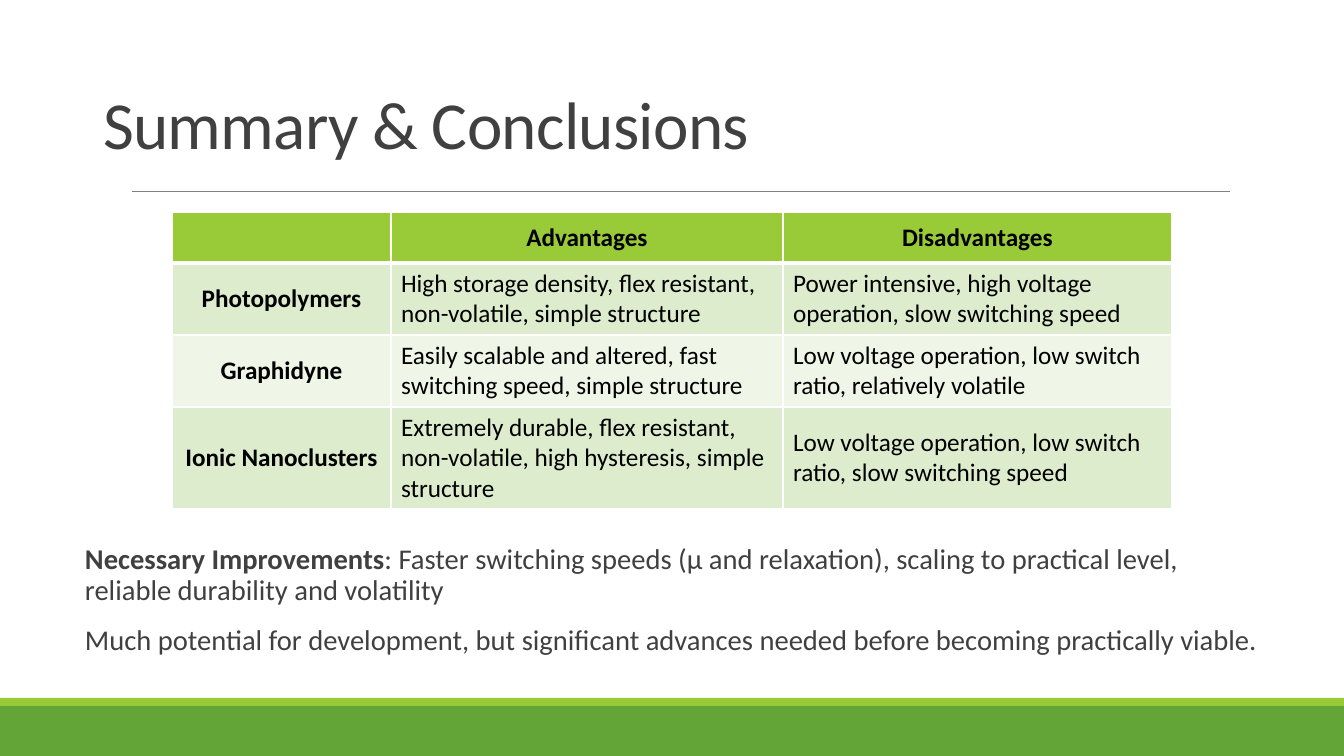
"""Build the summary slide with its comparison table and closing remarks."""
from lxml import etree
from pptx import Presentation
from pptx.dml.color import RGBColor
from pptx.enum.shapes import MSO_CONNECTOR, MSO_SHAPE
from pptx.enum.text import MSO_ANCHOR, MSO_AUTO_SIZE, PP_ALIGN
from pptx.oxml.ns import qn
from pptx.util import Emu, Pt

RECTANGLE = MSO_SHAPE.RECTANGLE
STRAIGHT = MSO_CONNECTOR.STRAIGHT
MIDDLE, BOTTOM = MSO_ANCHOR.MIDDLE, MSO_ANCHOR.BOTTOM
CENTER, LEFT = PP_ALIGN.CENTER, PP_ALIGN.LEFT
FONT = "Calibri"
COLOURS = {
    "green": "63A537", "lime": "99CB38", "rule": "808080", "text": "404040",
    "black": "000000", "white": "FFFFFF", "band": "DEECCE", "pale": "EFF6E8",
}

TITLE = "Summary & Conclusions"
COMPARISON = [
    ("", "Advantages", "Disadvantages"),
    ("Photopolymers",
     "High storage density, flex resistant, non-volatile, simple structure",
     "Power intensive, high voltage operation, slow switching speed"),
    ("Graphidyne",
     "Easily scalable and altered, fast switching speed, simple structure",
     "Low voltage operation, low switch ratio, relatively volatile"),
    ("Ionic Nanoclusters",
     "Extremely durable, flex resistant, non-volatile, high hysteresis, simple structure",
     "Low voltage operation, low switch ratio, slow switching speed"),
]
REMARKS = [
    [("Necessary Improvements", True),
     (": Faster switching speeds (μ and relaxation), scaling to practical level, "
      "reliable durability and volatility", False)],
    [("Much potential for development, but significant advances needed before "
      "becoming practically viable.", False)],
]

WIDTH, HEIGHT = 1344, 756
FOOTER = [(706, 50, "green"), (698, 8, "lime")]
TITLE_BOX = (93, 28, 1159, 140)
RULE = (132, 191, 1230, 191)
TABLE_LEFT, TABLE_TOP = 172, 212
COLUMNS = [219, 392, 389]
ROWS = [51, 72, 72, 102]
REMARKS_BOX = (75, 540, 1195, 130)
REMARK_INDENT = 10


def px(length):
    return Emu(round(length * 914400 / 100.8))


def scaled(lengths):
    return [px(length) for length in lengths]


def colour(name):
    return RGBColor.from_string(COLOURS[name])


def style(span, size, name, bold=False):
    span.font.name = FONT
    span.font.size = Pt(size)
    span.font.bold = bold
    span.font.color.rgb = colour(name)


def add_title(page):
    title = page.shapes.title
    title.left, title.top, title.width, title.height = scaled(TITLE_BOX)
    frame = title.text_frame
    frame.text = TITLE
    frame.word_wrap = True
    frame.auto_size = MSO_AUTO_SIZE.NONE
    frame.vertical_anchor = BOTTOM
    para = frame.paragraphs[0]
    para.alignment = LEFT
    para.line_spacing = 0.85
    span = para.runs[0]
    style(span, 48, "text")
    span.font._element.set("spc", "-50")


def add_decoration(page):
    for top, height, name in FOOTER:
        bar = page.shapes.add_shape(RECTANGLE, *scaled((0, top, WIDTH, height)))
        bar.shadow.inherit = False
        bar.fill.solid()
        bar.fill.fore_color.rgb = colour(name)
        bar.line.fill.background()
    rule = page.shapes.add_connector(STRAIGHT, *scaled(RULE))
    rule.line.color.rgb = colour("rule")
    rule.line.width = Pt(0.5)
    etree.SubElement(rule._element.spPr, qn("a:effectLst"))


def add_borders(cell, widths):
    properties = cell._tc.get_or_add_tcPr()
    for place, (side, width) in enumerate(widths.items()):
        line = etree.Element(qn(f"a:ln{side}"), w=str(Pt(width)))
        fill = etree.SubElement(line, qn("a:solidFill"))
        etree.SubElement(fill, qn("a:srgbClr"), val=COLOURS["white"])
        properties.insert(place, line)


def add_comparison(page):
    table = page.shapes.add_table(
        len(ROWS), len(COLUMNS),
        *scaled((TABLE_LEFT, TABLE_TOP, sum(COLUMNS), sum(ROWS)))).table
    for column, width in zip(table.columns, COLUMNS):
        column.width = px(width)
    for row, height in zip(table.rows, ROWS):
        row.height = px(height)
    for r, texts in enumerate(COMPARISON):
        fill = "lime" if r == 0 else ("pale", "band")[r % 2]
        for c, text in enumerate(texts):
            cell = table.cell(r, c)
            heading = r == 0 or c == 0
            cell.fill.solid()
            cell.fill.fore_color.rgb = colour(fill)
            cell.vertical_anchor = MIDDLE
            add_borders(cell, {"L": 1, "R": 1, "T": 3 if r == 1 else 1,
                               "B": 3 if r == 0 else 1})
            cell.text_frame.text = text
            para = cell.text_frame.paragraphs[0]
            para.alignment = CENTER if heading else LEFT
            for span in para.runs:
                style(span, 18, "black", heading)


def add_remarks(page):
    frame = page.shapes.add_textbox(*scaled(REMARKS_BOX)).text_frame
    frame.word_wrap = True
    frame.margin_left = frame.margin_right = 0
    for number, parts in enumerate(REMARKS):
        para = frame.add_paragraph() if number else frame.paragraphs[0]
        para.line_spacing = 0.9
        para.space_before, para.space_after = Pt(12), Pt(2)
        para._p.get_or_add_pPr().set("marL", str(px(REMARK_INDENT)))
        for text, bold in parts:
            span = para.add_run()
            span.text = text
            style(span, 20.4, "text", bold)


def main():
    deck = Presentation()
    deck.slide_width, deck.slide_height = px(WIDTH), px(HEIGHT)
    page = deck.slides.add_slide(deck.slide_layouts[5])
    add_decoration(page)
    add_title(page)
    add_remarks(page)
    add_comparison(page)
    deck.save("out.pptx")


if __name__ == "__main__":
    main()
